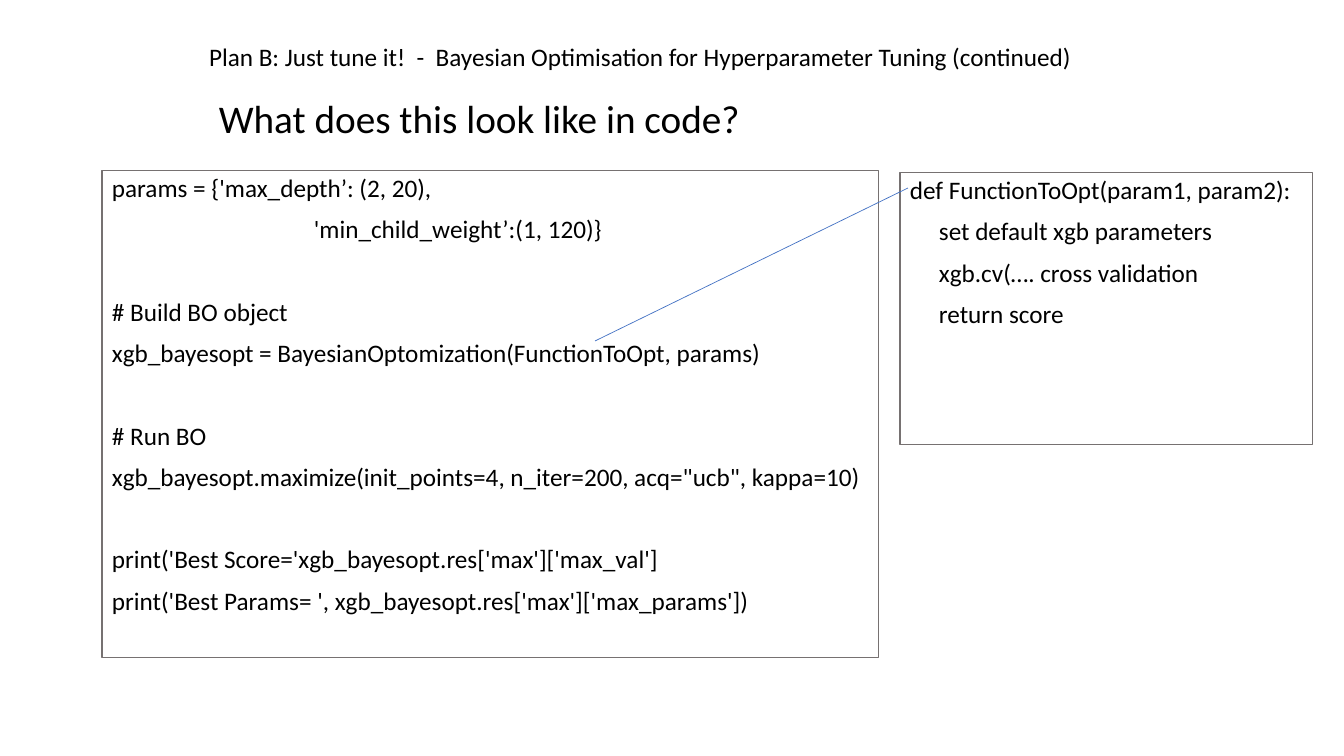
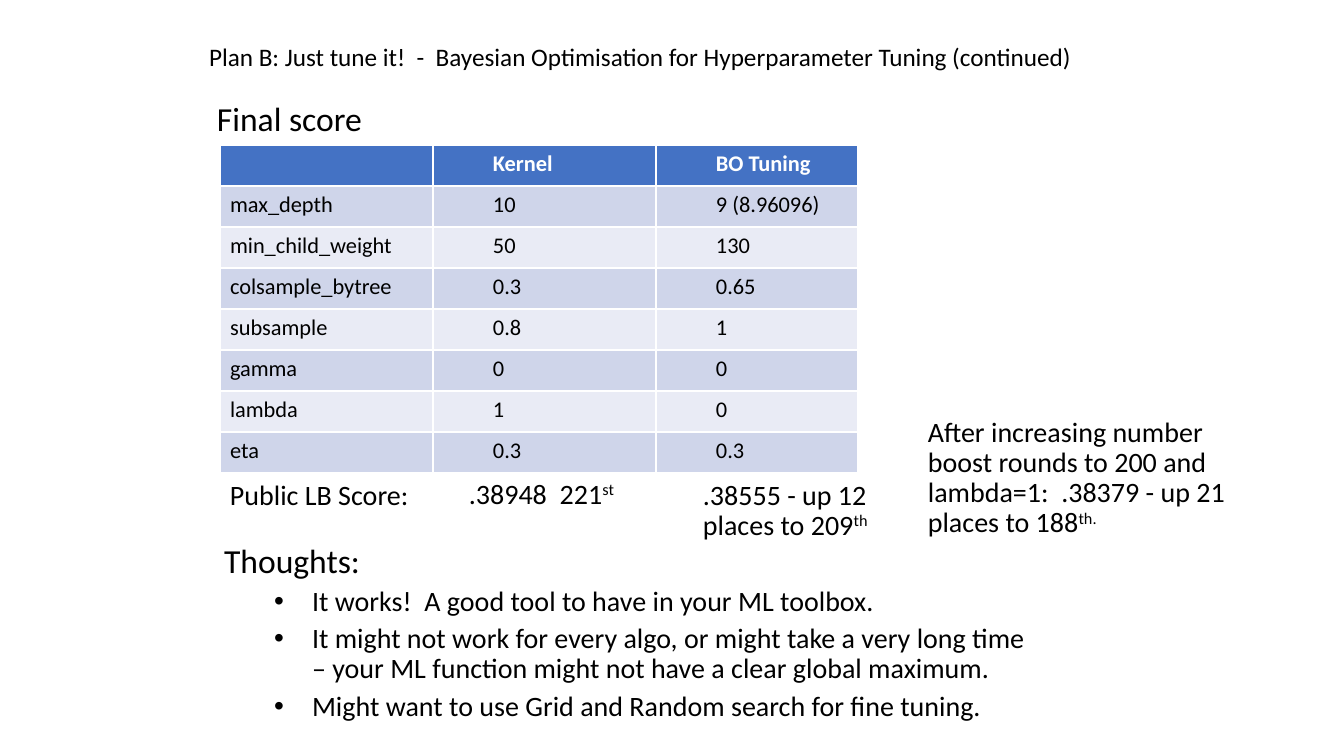
from dataclasses import dataclass

from pptx import Presentation
from pptx import util as u
from pptx.dml.color import RGBColor
from pptx.enum import shapes, text
from pptx.oxml.ns import qn


@dataclass(frozen=True)
class Theme:
    font: str = "Calibri"
    ink: str = "000000"
    paper: str = "FFFFFF"
    frame: str = "767171"
    accent: str = "4472C4"
    bands: tuple = ("CFD5EA", "E9EBF5")
    cell: int = 16
    small: int = 18
    body: int = 20
    head: int = 24
    large: int = 28
    gap: int = 10          # points before a paragraph
    code_gap: float = 39.5  # points before a new block of code


@dataclass(frozen=True)
class Line:
    text: str
    size: int
    sup: str = ""
    before: float = 10
    left: int = 0
    bullet: bool = False


T = Theme()
HANG = 38
PAGE_TITLE = ("Plan B: Just tune it!  -  Bayesian Optimisation "
              "for Hyperparameter Tuning (continued)")


def px(n):
    return u.Emu(round(n * 914400 / 100.8))


def rgb(code):
    return RGBColor.from_string(code)


def style(r, size, color=T.ink, bold=False):
    r.font.name, r.font.size, r.font.bold = T.font, u.Pt(size), bold
    r.font.color.rgb = rgb(color)


def write(tf, lines):
    """Fill a text frame with lines, set from its top left corner."""
    tf.word_wrap = True
    tf.auto_size = text.MSO_AUTO_SIZE.NONE
    tf.vertical_anchor = text.MSO_ANCHOR.TOP
    for i, line in enumerate(lines):
        p = tf.add_paragraph() if i else tf.paragraphs[0]
        p.text = line.text
        p.level = int(line.bullet)
        p.alignment = text.PP_ALIGN.LEFT
        p.line_spacing, p.space_before = 0.9, u.Pt(line.before)
        style(p.runs[0], line.size)
        if line.sup:
            r = p.add_run()
            r.text = line.sup
            style(r, line.size)
            r.font._element.set("baseline", "30000")
        set_indent(p, line)


def set_indent(p, line):
    pPr = p._p.get_or_add_pPr()
    pPr.set("marL", str(px(line.left)))
    pPr.set("indent", str(px(-HANG if line.bullet else 0)))
    if line.bullet:
        font = pPr.makeelement(qn("a:buFont"), {"typeface": "Arial"})
        mark = pPr.makeelement(qn("a:buChar"), {"char": "•"})
        pPr.extend([font, mark])
    else:
        pPr.append(pPr.makeelement(qn("a:buNone"), {}))


def place(sp, box):
    sp.left, sp.top, sp.width, sp.height = map(px, box)


def add_page(prs, layout):
    s = prs.slides.add_slide(prs.slide_layouts[layout])
    place(s.shapes.title, (199, 40, 1060, 93))
    write(s.shapes.title.text_frame, [Line(PAGE_TITLE, T.small)])
    return s


def add_label(s, box, line):
    sp = s.shapes.add_textbox(*map(px, box))
    write(sp.text_frame, [line])


def add_code_box(s, box, lines):
    sp = s.shapes.add_shape(shapes.MSO_SHAPE.RECTANGLE, *map(px, box))
    sp.shadow.inherit = False
    sp.fill.background()
    sp.line.color.rgb, sp.line.width = rgb(T.frame), u.Pt(0.75)
    write(sp.text_frame, lines)


def add_pointer(s, start, end):
    c = s.shapes.add_connector(shapes.MSO_CONNECTOR.STRAIGHT, *map(px, start + end))
    c.line.color.rgb, c.line.width = rgb(T.accent), u.Pt(0.5)
    spPr = c._element.spPr
    spPr.append(spPr.makeelement(qn("a:effectLst"), {}))


def add_score_table(s, left, top, widths, row_height, rows):
    frame = s.shapes.add_table(len(rows), len(widths), px(left), px(top),
                               px(sum(widths)), px(row_height * len(rows)))
    table = frame.table
    for column, width in zip(table.columns, widths):
        column.width = px(width)
    for i, row in enumerate(rows):
        table.rows[i].height = px(row_height)
        for j, value in enumerate(row):
            cell = table.cell(i, j)
            cell.fill.solid()
            cell.fill.fore_color.rgb = rgb(T.bands[(i - 1) % 2] if i else T.accent)
            if j:
                cell.margin_left = px(60)
            cell.text_frame.text = value
            for r in cell.text_frame.paragraphs[0].runs:
                style(r, T.cell, T.ink if i else T.paper, bold=i == 0)


def code_slide(prs):
    s = add_page(prs, 5)
    add_label(s, (209, 95, 981, 55), Line("What does this look like in code?", T.large))

    # Function to optimise
    steps = ["set default xgb parameters", "xgb.cv(…. cross validation", "return score"]
    add_code_box(s, (900, 173, 413, 272),
                 [Line("def FunctionToOpt(param1, param2):", T.small)]
                 + [Line(step, T.small, left=29) for step in steps])

    # Main code, in blocks set apart by a wider space
    blocks = [
        ["params = {'max_depth’: (2, 20),", "'min_child_weight’:(1, 120)}"],
        ["# Build BO object",
         "xgb_bayesopt = BayesianOptomization(FunctionToOpt, params)"],
        ["# Run BO",
         'xgb_bayesopt.maximize(init_points=4, n_iter=200, acq="ucb", kappa=10)'],
        ["print('Best Score='xgb_bayesopt.res['max']['max_val']",
         "print('Best Params= ', xgb_bayesopt.res['max']['max_params'])"],
    ]
    lines = [Line(code, T.small,
                  before=T.code_gap if b and not i else T.gap,
                  left=202 if code.startswith("'") else 0)
             for b, block in enumerate(blocks) for i, code in enumerate(block)]
    add_code_box(s, (102, 171, 777, 487), lines)
    add_pointer(s, (595, 341), (908, 188))


def score_slide(prs):
    s = add_page(prs, 1)
    add_label(s, (207, 97, 266, 59), Line("Final score", T.head))

    # Closing thoughts
    thoughts = [
        "It works!  A good tool to have in your ML toolbox.",
        "It might not work for every algo, or might take a very long time "
        "– your ML function might not have a clear global maximum.",
        "Might want to use Grid and Random search for fine tuning.",
    ]
    body = s.placeholders[1]
    place(body, (214, 539, 840, 217))
    write(body.text_frame,
          [Line("Thoughts:", T.head)]
          + [Line(t, T.body, before=5, left=88, bullet=True) for t in thoughts])

    # Parameters
    add_score_table(s, 220, 145, (213, 223, 202), 41, [
        ("", "Kernel", "BO Tuning"),
        ("max_depth", "10", "9 (8.96096)"),
        ("min_child_weight", "50", "130"),
        ("colsample_bytree", "0.3", "0.65"),
        ("subsample", "0.8", "1"),
        ("gamma", "0", "0"),
        ("lambda", "1", "0"),
        ("eta", "0.3", "0.3"),
    ])

    # Leaderboard scores
    for box, words, sup in [
        ((220, 476, 266, 59), "Public LB Score:", ""),
        ((459, 475, 184, 59), ".38948  221", "st"),
        ((693, 476, 193, 59), ".38555 - up 12 places to 209", "th"),
        ((918, 413, 319, 134), "After increasing number boost rounds to 200 and "
                               "lambda=1:  .38379 - up 21 places to 188", "th."),
    ]:
        add_label(s, box, Line(words, T.body, sup))


def main():
    prs = Presentation()
    prs.slide_width, prs.slide_height = px(1344), px(756)
    code_slide(prs)
    score_slide(prs)
    prs.save("out.pptx")


if __name__ == "__main__":
    main()
